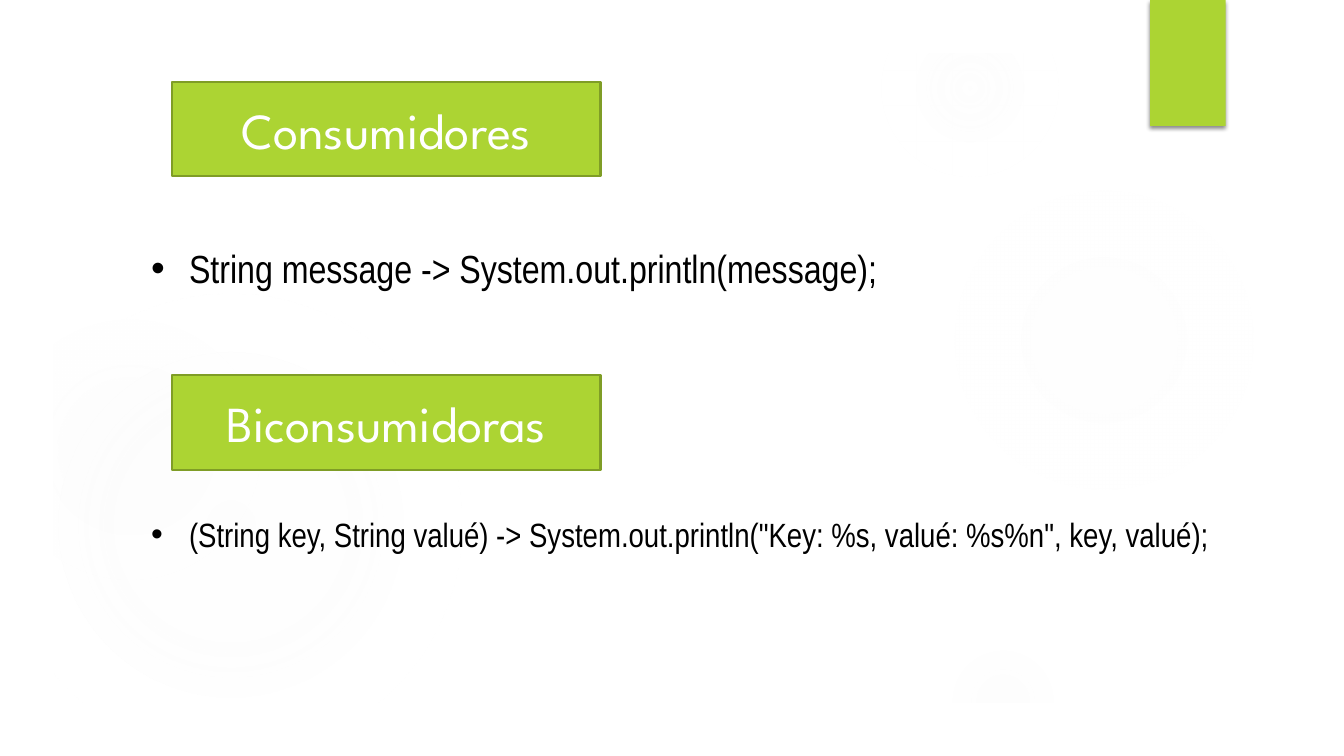
from lxml.etree import SubElement
from pptx import Presentation
from pptx.dml.color import RGBColor
from pptx.enum.shapes import MSO_SHAPE
from pptx.enum.text import MSO_ANCHOR, MSO_AUTO_SIZE, PP_ALIGN
from pptx.oxml import parse_xml
from pptx.oxml.ns import nsdecls, qn
from pptx.util import Pt

WIDTH, HEIGHT = 960, 540
MARGIN = 37.5
COLORS = {
    "white": "FFFFFF",
    "black": "000000",
    "green": "ACD433",
    "dark_green": "7F9D26",
    "glow": "F7F7F7",
}
HEADING_FONT = "League Spartan"
BODY_FONT = "Arial Narrow"

# left, top, diameter, then (position %, opacity %) stops from the centre out
GLOWS = [
    (0, 210, 330, [(0, 11), (36, 10), (75, 0)]),
    (0, 228, 186, [(0, 8), (36, 8), (72, 0)]),
    (677.5, 132, 222, [(0, 7), (36, 6), (69, 0)]),
    (630, 0, 126, [(0, 14), (36, 7), (73, 0)]),
    (677.5, 462, 78, [(0, 14), (36, 7), (66, 0)]),
]


def rgb(name):
    return RGBColor.from_string(COLORS[name])


class SlideBuilder:
    def __init__(self, slide):
        self.slide = slide
        self.shapes = slide.shapes
        slide.background.fill.solid()
        slide.background.fill.fore_color.rgb = rgb("white")

    def move(self, sp, left, top, width, height):
        """Position a placeholder and bring it to the front."""
        sp.left, sp.top = Pt(left), Pt(top)
        sp.width, sp.height = Pt(width), Pt(height)
        self.shapes._spTree.append(sp._element)

    def paint(self, sp, fill, line=None):
        sp.fill.solid()
        sp.fill.fore_color.rgb = rgb(fill)
        if line:
            sp.line.color.rgb = rgb(line)
            sp.line.width = Pt(1.5)
        else:
            sp.line.fill.background()

    def shape(self, kind, left, top, width, height):
        sp = self.shapes.add_shape(kind, Pt(left), Pt(top), Pt(width), Pt(height))
        sp.shadow.inherit = False
        return sp

    def glow(self, left, top, size, stops):
        """Add a circle whose faint fill fades outwards."""
        sp = self.shape(MSO_SHAPE.OVAL, left, top, size, size)
        sp.line.fill.background()
        gs = "".join(
            f'<a:gs pos="{pos * 1000}"><a:srgbClr val="{COLORS["glow"]}">'
            f'<a:alpha val="{alpha * 1000}"/></a:srgbClr></a:gs>'
            for pos, alpha in stops
        )
        grad = parse_xml(
            f'<a:gradFill {nsdecls("a")}><a:gsLst>{gs}</a:gsLst><a:path path="circle">'
            '<a:fillToRect l="50000" t="50000" r="50000" b="50000"/></a:path></a:gradFill>'
        )
        sp._element.spPr.find(qn("a:prstGeom")).addnext(grad)

    def frame(self):
        """Cover the slide's margins with white."""
        right, bottom = WIDTH - MARGIN, HEIGHT - MARGIN
        fb = self.shapes.build_freeform(0, 0, scale=Pt(1))
        fb.add_line_segments([(0, HEIGHT), (WIDTH, HEIGHT), (WIDTH, 0)])
        fb.move_to(right, bottom)
        fb.add_line_segments([(MARGIN, bottom), (MARGIN, MARGIN), (right, MARGIN)])
        sp = fb.convert_to_shape()
        sp.shadow.inherit = False
        self.paint(sp, "white")

    def tab(self, left, top, width, height):
        """Add the green tab with a soft shadow below it."""
        sp = self.shape(MSO_SHAPE.RECTANGLE, left, top, width, height)
        self.paint(sp, "green")
        effects = sp._element.spPr.find(qn("a:effectLst"))
        effects.append(parse_xml(
            f'<a:outerShdw {nsdecls("a")} blurRad="{Pt(3)}" dist="{Pt(2)}" dir="5400000">'
            f'<a:srgbClr val="{COLORS["black"]}"><a:alpha val="45000"/></a:srgbClr>'
            '</a:outerShdw>'
        ))

    def set_text(self, sp, text, font, size, color, align):
        tf = sp.text_frame
        tf.text = text
        p = tf.paragraphs[0]
        p.alignment = align
        r = p.runs[0]
        r.font.name = font
        r.font.size = Pt(size)
        r.font.color.rgb = rgb(color)
        return tf, p

    def heading(self, sp, text):
        self.paint(sp, "green", "dark_green")
        tf, p = self.set_text(sp, text, HEADING_FONT, 36, "white", PP_ALIGN.CENTER)
        tf.vertical_anchor = MSO_ANCHOR.MIDDLE
        tf.auto_size = MSO_AUTO_SIZE.NONE

    def bullet(self, sp, text, size, wrap):
        tf, p = self.set_text(sp, text, BODY_FONT, size, "black", PP_ALIGN.JUSTIFY)
        tf.word_wrap = wrap
        tf.auto_size = MSO_AUTO_SIZE.SHAPE_TO_FIT_TEXT
        p.line_spacing = 1.5
        p.space_before, p.space_after = Pt(0), Pt(10)
        pPr = p._p.get_or_add_pPr()
        pPr.set("marL", str(Pt(27)))
        pPr.set("indent", str(-Pt(27)))
        SubElement(pPr, qn("a:buFont"), typeface="Arial")
        SubElement(pPr, qn("a:buChar"), char="•")


def main():
    prs = Presentation()
    prs.slide_width, prs.slide_height = Pt(WIDTH), Pt(HEIGHT)
    s = prs.slides.add_slide(prs.slide_layouts[3])
    title, consumer, biconsumer = s.placeholders
    builder = SlideBuilder(s)

    for glow in GLOWS:
        builder.glow(*glow)
    builder.frame()
    builder.tab(821.5, 0, 54, 90)

    builder.move(title, 123, 58.3, 306, 67.7)
    builder.heading(title, "Consumidores")
    builder.move(consumer, 100.8, 154.1, 538.6, 52.6)
    builder.bullet(consumer, "String message -> System.out.println(message);", 28, False)

    second = builder.shape(MSO_SHAPE.RECTANGLE, 123, 267.8, 306, 67.7)
    builder.heading(second, "Biconsumidoras")
    builder.move(biconsumer, 100.8, 349.2, 781.9, 51.1)
    builder.bullet(
        biconsumer,
        '(String key, String valué) -> System.out.println("Key: %s, valué: %s%n", key, valué);',
        24, True,
    )
    prs.save("out.pptx")


if __name__ == "__main__":
    main()
